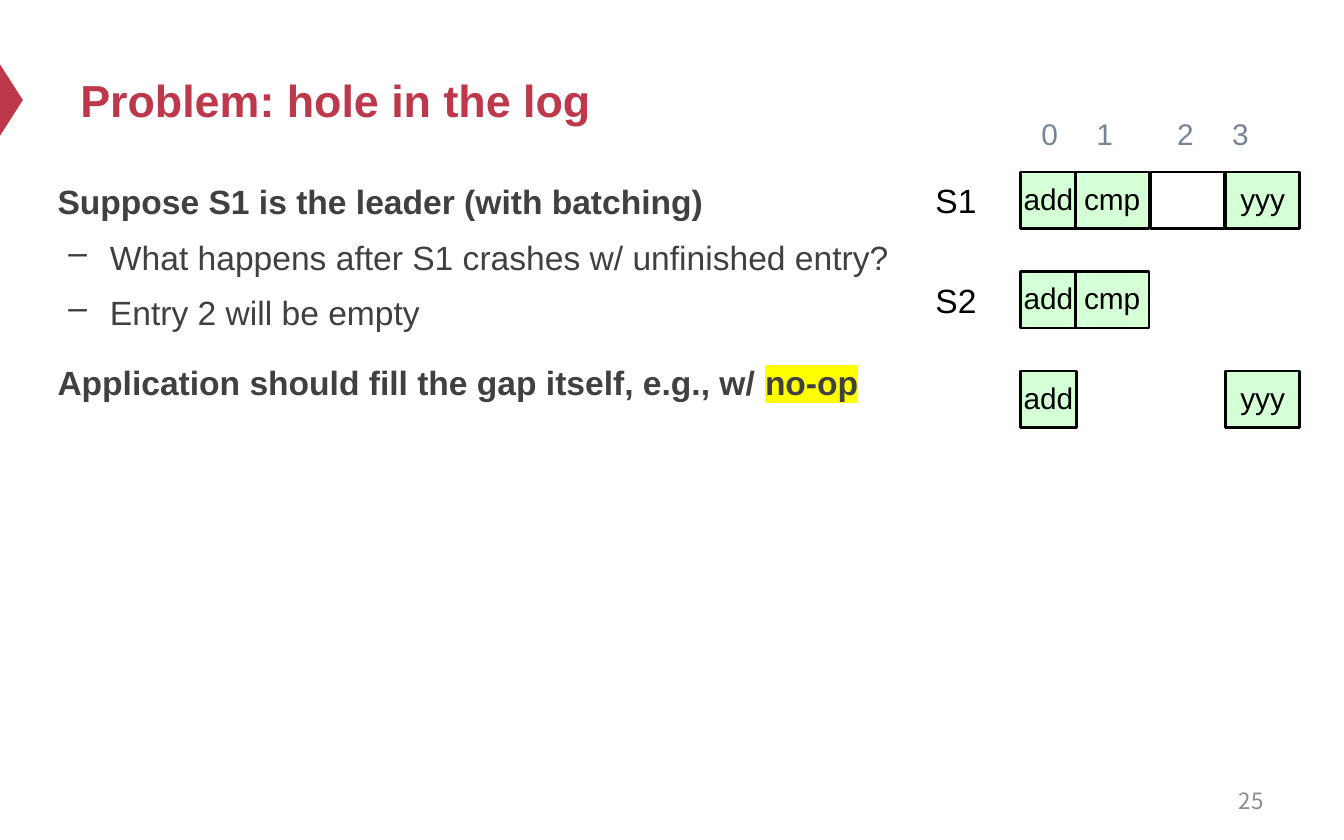
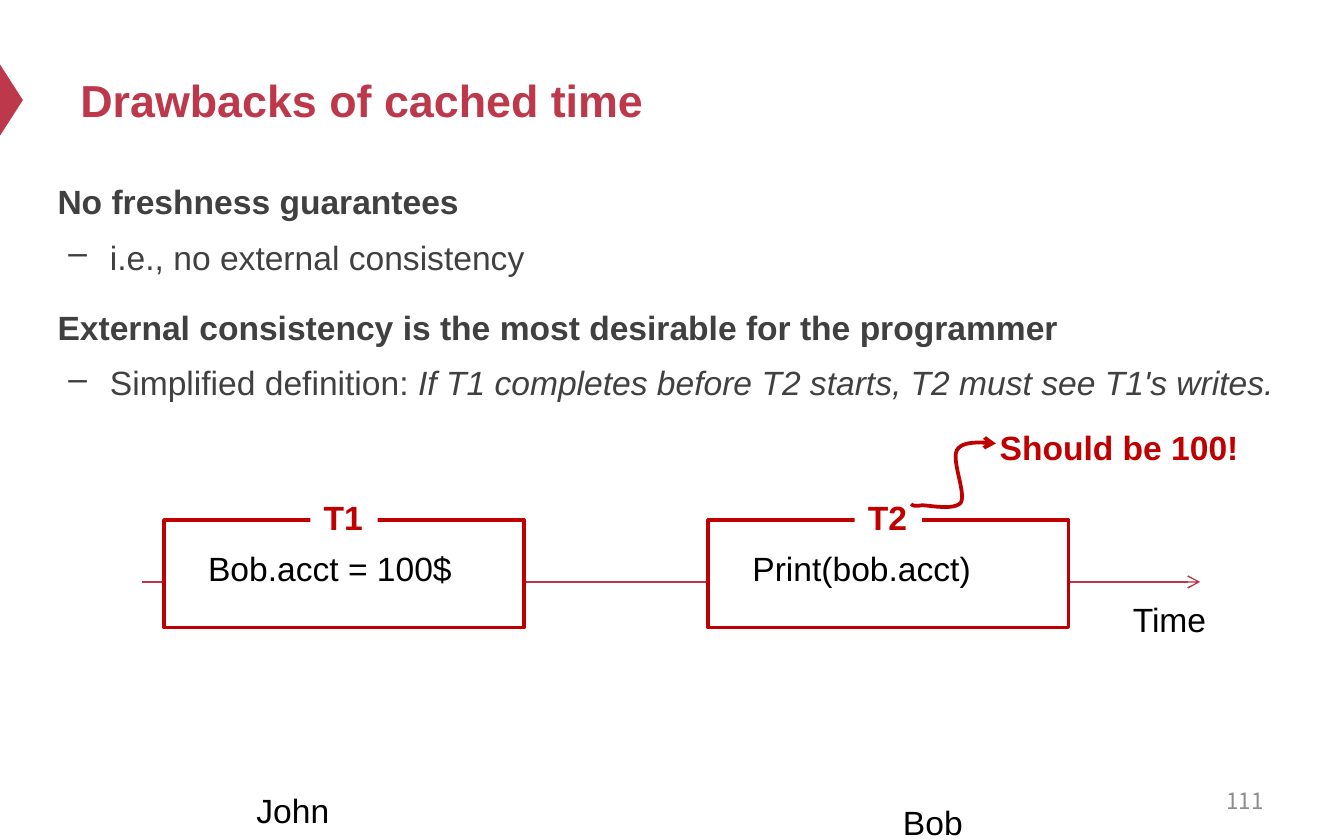
from lxml.etree import SubElement
from pptx import Presentation
from pptx.dml.color import RGBColor
from pptx.enum.shapes import MSO_CONNECTOR, MSO_SHAPE
from pptx.enum.text import MSO_ANCHOR, MSO_AUTO_SIZE, PP_ALIGN
from pptx.oxml.ns import qn
from pptx.util import Inches, Pt

ROSE = RGBColor(0xBE, 0x38, 0x4B)
AXIS = RGBColor(0xBD, 0x33, 0x47)
RED = RGBColor(0xC0, 0x00, 0x00)
DARK = RGBColor(0x40, 0x40, 0x40)
GRAY = RGBColor(0x8C, 0x8C, 0x8C)
SLATE = RGBColor(0x77, 0x84, 0x95)
MINT = RGBColor(0xD5, 0xFF, 0xD5)
BLACK = RGBColor(0, 0, 0)
WHITE = RGBColor(255, 255, 255)

# Text formats
BASE = {"name": "Arial", "size": Pt(18)}
PLAIN = BASE | {"color": BLACK}
ALERT = BASE | {"color": RED, "bold": True}
TITLE = BASE | {"size": Pt(24), "color": ROSE, "bold": True}
HEAD = BASE | {"color": DARK, "bold": True}
ITEM = BASE | {"color": DARK, "bold": False}
MARK = HEAD | {"glow": "FFFF00"}
LEAN = ITEM | {"italic": True}
CELL = PLAIN | {"size": Pt(16)}
INDEX = CELL | {"color": SLATE}
FOOT = {"name": "Noto Sans CJK SC", "size": Pt(12), "color": GRAY}

# Frame formats
GROW = {"auto_size": MSO_AUTO_SIZE.SHAPE_TO_FIT_TEXT}
LOOSE = GROW | {"word_wrap": False}
MID = {"vertical_anchor": MSO_ANCHOR.MIDDLE}
TIGHT = {"margin_" + side: 0 for side in ("left", "top", "right", "bottom")}


def write(shape, lines, frame):
    """Fill a shape with lines, each a list of (words, format) runs."""
    body = shape.text_frame
    for key, value in ({"word_wrap": True} | frame).items():
        setattr(body, key, value)
    for i, line in enumerate(lines):
        para = body.paragraphs[0] if i == 0 else body.add_paragraph()
        para.alignment = PP_ALIGN.LEFT
        for words, form in line:
            run = para.add_run()
            run.text = words
            for key, value in form.items():
                if key == "color":
                    run.font.color.rgb = value
                elif key != "glow":
                    setattr(run.font, key, value)
            if "glow" in form:
                props = run.font.fill and run._r.get_or_add_rPr()
                glow = SubElement(props, qn("a:highlight"))
                SubElement(glow, qn("a:srgbClr"), val=form["glow"])
                props.find(qn("a:latin")).addprevious(glow)
    return body.paragraphs


def block(shapes, spot, fill, edge=None, width=1.5, kind=MSO_SHAPE.RECTANGLE):
    """Add a flat shape at spot (left, top, width, height)."""
    shape = shapes.add_shape(kind, *map(Inches, spot))
    shape.shadow.inherit = False
    shape.fill.solid()
    shape.fill.fore_color.rgb = fill
    if edge is None:
        shape.line.fill.background()
    else:
        shape.line.color.rgb = edge
        shape.line.width = Pt(width)
    return shape


deck = Presentation()
deck.slide_width, deck.slide_height = Inches(10), Inches(6.25)

# Title, body and number of each slide
pages = [
    ("Problem: hole in the log", "25", (9, 1.98), [
        [("Suppose S1 is the leader (with batching)", HEAD)],
        [("What happens after S1 crashes w/ unfinished entry?", ITEM)],
        [("Entry 2 will be empty", ITEM)],
        [("Application should fill the gap itself, e.g., w/ ", HEAD),
         ("no-op", MARK)],
    ]),
    ("Drawbacks of cached time", "111", (9.67, 4.12), [
        [("No freshness guarantees", HEAD)],
        [("i.e., no external consistency", ITEM)],
        [("External consistency is the most desirable for the programmer", HEAD)],
        [("Simplified definition: ", ITEM),
         ("If T1 completes before T2 starts, T2 must see T1's writes.", LEAN)],
    ]),
]
trees = []
for title, number, size, lines in pages:
    tree = deck.slides.add_slide(deck.slide_layouts[6]).shapes
    trees.append(tree)
    flag = block(tree, (-0.18, 0.66, 0.53, 0.17), ROSE,
                 kind=MSO_SHAPE.ISOSCELES_TRIANGLE)
    flag.rotation = 90
    box = tree.add_textbox(*map(Inches, (0.5, 0.25, 9, 0.98)))
    write(box, [[(title, TITLE)]], MID)
    box = tree.add_textbox(*map(Inches, (7.17, 5.79, 2.33, 0.33)))
    write(box, [[(number, FOOT)]], MID)[0].alignment = PP_ALIGN.RIGHT

    box = tree.add_textbox(*map(Inches, (0.33, 1.24, *size)))
    for i, para in enumerate(write(box, lines, {})):
        item = lines[i][0][1] is ITEM
        para.line_spacing = 1.2
        if i:
            para.space_before = Pt(3.6 if item else 12)
        if item:
            para.level = 1
            props = para._p.get_or_add_pPr()
            props.set("marL", str(Inches(0.39)))
            props.set("indent", str(Inches(-0.31)))
            SubElement(props, qn("a:buChar"), char="–")

log, time = trees

# Log entries: one row per server, None where there is no cell
cols = [(7.59, 0.42), (8, 0.55), (8.56, 0.55), (9.12, 0.55)]
rows = [
    ("S1", ["add", "cmp", "", "yyy"]),
    ("S2", ["add", "cmp", None, None]),
    (None, ["add", None, None, "yyy"]),
]
for i, (name, cells) in enumerate(rows):
    top = 1.28 + 0.74 * i
    if name:
        box = log.add_textbox(*map(Inches, (6.96, top + 0.06, 0.42, 0.3)))
        write(box, [[(name, PLAIN)]], GROW | TIGHT)
    for (left, width), word in zip(cols, cells):
        if word is None:
            continue
        cell = block(log, (left, top, width, 0.42), MINT if word else WHITE, BLACK)
        if word:
            para = write(cell, [[(word, CELL)]], MID | TIGHT)[0]
            para.alignment = PP_ALIGN.CENTER
            para.line_spacing = Pt(17)

# Entry numbers
for i, left in enumerate((7.65, 8.06, 8.66, 9.07)):
    box = log.add_textbox(*map(Inches, (left, 0.81, 0.42, 0.37)))
    write(box, [[(str(i), INDEX)]], GROW)

# Time axis
axis = time.add_connector(MSO_CONNECTOR.STRAIGHT,
                          *map(Inches, (1.06, 4.33, 8.93, 4.33)))
axis.line.color.rgb = AXIS
axis.line.width = Pt(0.75)

# Transactions on the axis
for left, name, code, width in ((1.22, "T1", "Bob.acct = 100$", 2.03),
                                (5.27, "T2", "Print(bob.acct)", 1.84)):
    group = time.add_group_shape().shapes
    block(group, (left, 3.87, 2.68, 0.8), WHITE, RED, 2)
    tag = block(group, (left + 1.09, 3.65, 0.5, 0.4), WHITE)
    write(tag, [[(name, ALERT)]], LOOSE)
    box = group.add_textbox(*map(Inches, (left + 0.23, 4.03, width, 0.4)))
    write(box, [[(code, PLAIN)]], LOOSE)

# Loose labels
for left, top, width, words, form in (
        (8.33, 4.41, 0.75, "Time", PLAIN), (1.81, 5.83, 0.75, "John", PLAIN),
        (6.62, 5.92, 0.65, "Bob", PLAIN), (7.34, 3.13, 2, "Should be 100!", ALERT)):
    box = time.add_textbox(*map(Inches, (left, top, width, 0.4)))
    write(box, [[(words, form)]], LOOSE)

# Curved arrow from T2 to its result, sampled from Bezier arcs
start = (6.78, 3.75)
arcs = [
    ((6.79, 3.76), (6.8, 3.77), (6.86, 3.76)),
    ((6.92, 3.76), (7.1, 3.8), (7.15, 3.74)),
    ((7.19, 3.67), (7.08, 3.43), (7.12, 3.35)),
    ((7.16, 3.28), (7.29, 3.29), (7.41, 3.3)),
]
dots = []
last = start
for arc in arcs:
    for t in (n / 12 for n in range(1, 13)):
        mix = ((1 - t) ** 3, 3 * t * (1 - t) ** 2, 3 * t * t * (1 - t), t ** 3)
        dots.append(tuple(Inches(sum(m * p[k] for m, p in zip(mix, (last, *arc))))
                          for k in (0, 1)))
    last = arc[-1]
pen = time.build_freeform(*map(Inches, start))
pen.add_line_segments(dots, close=False)
curve = pen.convert_to_shape()
curve.fill.background()
curve.line.color.rgb = RED
curve.line.width = Pt(2)

# Arrowheads, without shadows
for shape in (axis, curve):
    props = shape.element.spPr
    SubElement(props.find(qn("a:ln")), qn("a:tailEnd"), type="arrow")
    SubElement(props, qn("a:effectLst"))

deck.save("out.pptx")
